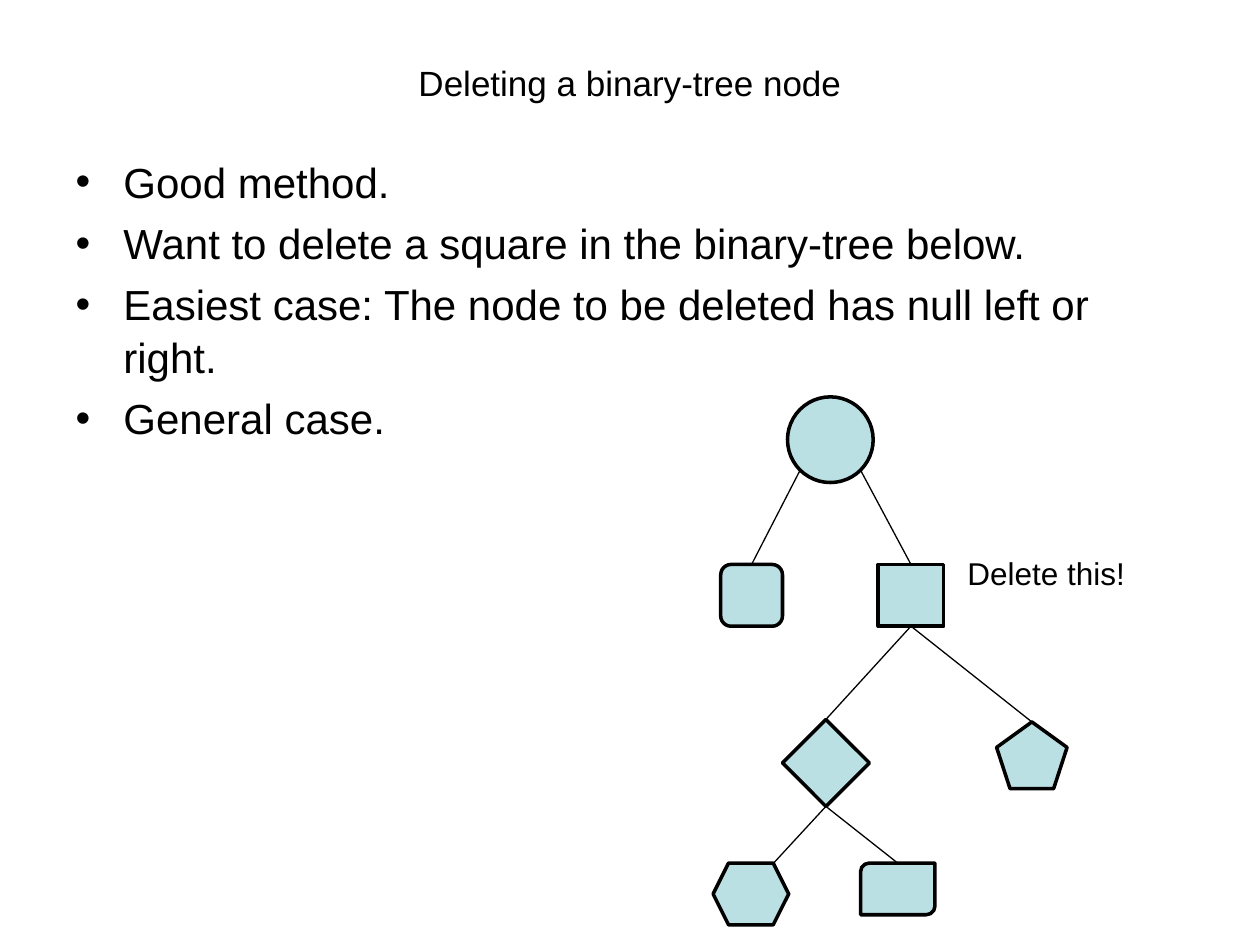
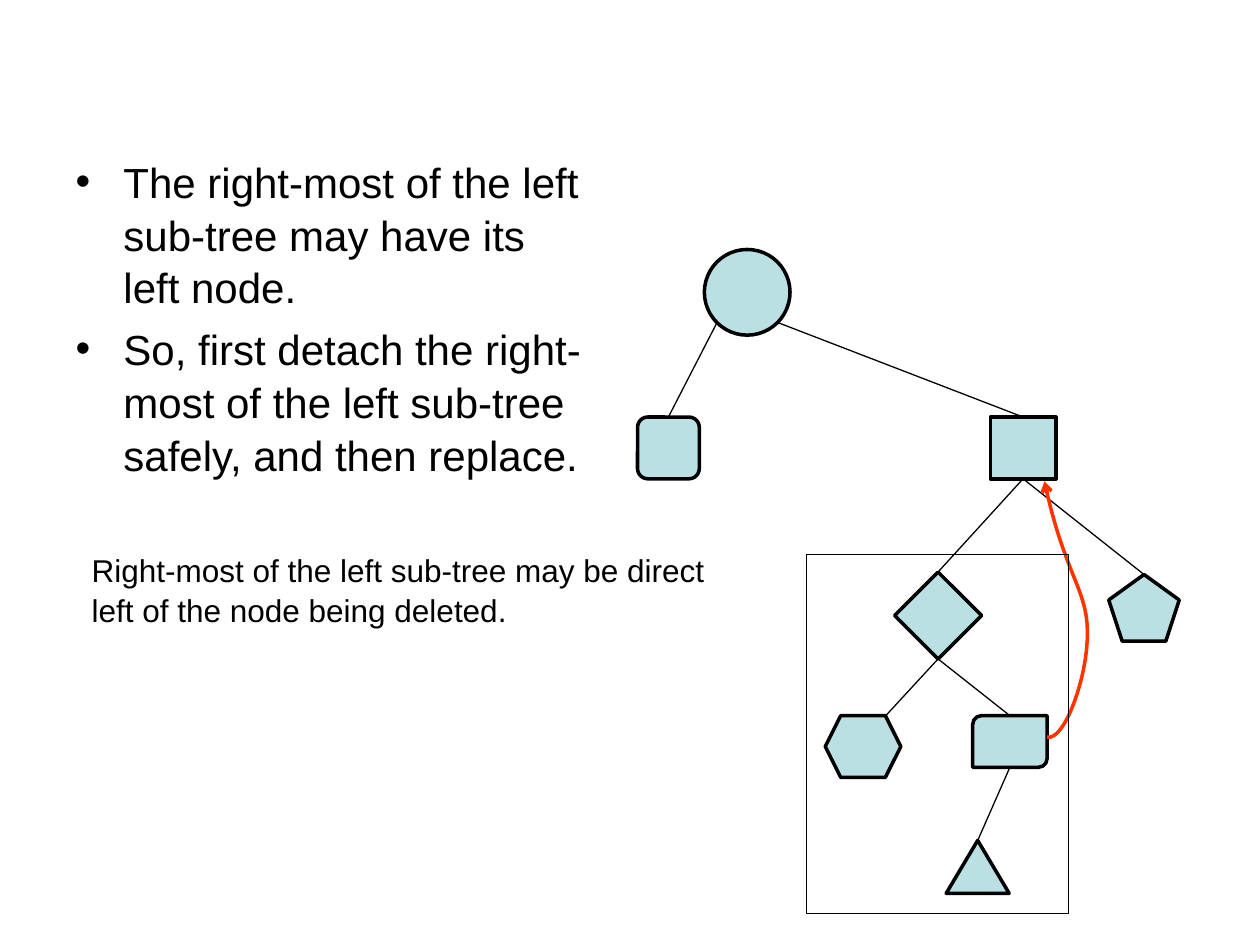
from lxml import etree
from pptx import Presentation
from pptx.dml.color import RGBColor
from pptx.enum import shapes, text
from pptx.oxml import ns
from pptx.util import Inches, Pt

KIND = shapes.MSO_SHAPE
TOP, BOTTOM = (0.5, 0), (0.5, 1)
SITES = {TOP: 0, BOTTOM: 2}
BOXES = (KIND.RECTANGLE, KIND.ROUNDED_RECTANGLE, KIND.DIAMOND)


def color(code):
    return RGBColor.from_string(code)


def spot(node, at):
    """Point of a node given as fractions of its width and height."""
    return (int(node.left + at[0] * node.width),
            int(node.top + at[1] * node.height))


def curve(a, b, c, d, steps=16):
    """Points along a cubic curve, without its start."""
    for i in range(1, steps + 1):
        t = i / steps
        s = 1 - t
        yield tuple(s**3 * p + 3 * s * s * t * q + 3 * s * t * t * r + t**3 * e
                    for p, q, r, e in zip(a, b, c, d))


class Deck:
    font, ink, tint, hot = "Arial", "000000", "BBE0E3", "FF3300"
    pitch = 1.05

    def __init__(self):
        self.prs = Presentation()
        self.prs.slide_width, self.prs.slide_height = Inches(10), Inches(7.5)

    def new(self):
        self.slide = self.prs.slides.add_slide(self.prs.slide_layouts[1])

    def place(self, shape, box):
        shape.left, shape.top, shape.width, shape.height = map(Inches, box)

    def add_run(self, para, words, size):
        para.line_spacing = self.pitch
        run = para.add_run()
        run.text = words
        run.font.name, run.font.size = self.font, Pt(size)
        run.font.color.rgb = color(self.ink)

    def title(self, words=None):
        """Fill the title, or remove it when there are no words."""
        head = self.slide.shapes.title
        if words is None:
            head.element.getparent().remove(head.element)
            return
        self.place(head, (0.5, 0.3, 9, 0.7))
        frame = head.text_frame
        frame.auto_size = text.MSO_AUTO_SIZE.NONE
        frame.vertical_anchor = text.MSO_ANCHOR.MIDDLE
        frame.paragraphs[0].alignment = text.PP_ALIGN.CENTER
        self.add_run(frame.paragraphs[0], words, 20)

    def bullets(self, width, items):
        body = self.slide.placeholders[1]
        self.place(body, (0.5, 1.17, width, 5.53))
        frame = body.text_frame
        frame.auto_size = text.MSO_AUTO_SIZE.NONE
        for i, words in enumerate(items):
            para = frame.add_paragraph() if i else frame.paragraphs[0]
            props = para._p.get_or_add_pPr()
            props.set("marL", str(Inches(0.38)))
            props.set("indent", str(-Inches(0.38)))
            etree.SubElement(props, ns.qn("a:buChar")).set("char", "•")
            para.space_before = Pt(4.8 if i else 0)
            self.add_run(para, words, 24)

    def note(self, box, words):
        frame = self.slide.shapes.add_textbox(*map(Inches, box)).text_frame
        frame.word_wrap = True
        self.add_run(frame.paragraphs[0], words, 18)

    def stroke(self, item, code, width):
        item.line.color.rgb = color(code)
        item.line.width = Pt(width)

    def node(self, kind, *box):
        shape = self.slide.shapes.add_shape(kind, *map(Inches, box))
        shape.shadow.inherit = False
        shape.fill.solid()
        shape.fill.fore_color.rgb = color(self.tint)
        self.stroke(shape, self.ink, 2)
        return shape

    def frame(self, *box):
        shape = self.node(KIND.RECTANGLE, *box)
        shape.fill.background()
        self.stroke(shape, self.ink, 0.25)

    def edge(self, up, start, down, end=TOP):
        line = self.slide.shapes.add_connector(
            shapes.MSO_CONNECTOR.STRAIGHT, *spot(up, start), *spot(down, end))
        self.stroke(line, self.ink, 0.75)
        etree.SubElement(line._element.spPr, ns.qn("a:effectLst"))
        for join, mate, at in ((line.begin_connect, up, start),
                               (line.end_connect, down, end)):
            if mate.auto_shape_type in BOXES and at in SITES:
                join(mate, SITES[at])

    def arrow(self, start, *arcs):
        """Curved arrow; each arc is two control points and an end."""
        points, pen = [], start
        for arc in arcs:
            points += curve(pen, *arc)
            pen = arc[-1]
        route = self.slide.shapes.build_freeform(*map(Inches, start))
        route.add_line_segments([tuple(map(Inches, p)) for p in points],
                                close=False)
        shape = route.convert_to_shape()
        shape.shadow.inherit = False
        shape.fill.background()
        self.stroke(shape, self.hot, 2)
        tip = etree.SubElement(shape.line._get_or_add_ln(), ns.qn("a:tailEnd"))
        tip.set("type", "arrow")

    def tree(self, top, root, sub):
        """Draw the tree; root and sub are the left ends of its two parts."""
        circle = self.node(KIND.OVAL, root + 0.59, top, 0.68, 0.68)
        square = self.node(KIND.RECTANGLE, sub + 1.31, top + 1.33, 0.52, 0.49)
        left = self.node(KIND.ROUNDED_RECTANGLE,
                         root + 0.06, top + 1.33, 0.49, 0.49)
        gem = self.node(KIND.DIAMOND, sub + 0.55, top + 2.56, 0.69, 0.69)
        penta = self.node(KIND.REGULAR_PENTAGON,
                          sub + 2.25, top + 2.58, 0.56, 0.53)
        hexa = self.node(KIND.HEXAGON, sub, top + 3.7, 0.6, 0.49)
        last = self.node(KIND.ROUND_2_DIAG_RECTANGLE,
                         sub + 1.17, top + 3.7, 0.59, 0.41)
        self.edge(circle, (0.15, 0.85), left)
        self.edge(circle, (0.85, 0.85), square)
        for up, down, end in ((square, gem, TOP), (square, penta, TOP),
                              (gem, hexa, (0.8, 0)), (gem, last, TOP)):
            self.edge(up, BOTTOM, down, end)
        return last


def main():
    deck = Deck()

    deck.new()
    deck.title("Deleting a binary-tree node")
    deck.bullets(9, [
        "Good method.",
        "Want to delete a square in the binary-tree below.",
        "Easiest case: The node to be deleted has null left or right.",
        "General case.",
    ])
    deck.tree(3.15, 5.66, 5.66)
    deck.note((7.58, 4.33, 2.25, 0.4), "Delete this!")

    deck.new()
    deck.title()
    deck.bullets(4.29, [
        "The right-most of the left sub-tree may have its left node.",
        "So, first detach the right-most of the left sub-tree safely, "
        "and then replace.",
    ])
    last = deck.tree(1.98, 5, 6.55)
    deck.arrow((8.31, 5.85),
               ((8.45, 5.89), (8.64, 5.35), (8.63, 5.01)),
               ((8.63, 4.68), (8.44, 4.54), (8.29, 3.82)))
    deck.frame(6.4, 4.4, 2.08, 2.85)
    leaf = deck.node(KIND.ISOSCELES_TRIANGLE, 7.51, 6.67, 0.5, 0.42)
    deck.edge(last, BOTTOM, leaf)
    deck.note((0.63, 4.31, 5.27, 1.01),
              "Right-most of the left sub-tree may be direct left "
              "of the node being deleted.")

    deck.prs.save("out.pptx")


if __name__ == "__main__":
    main()
